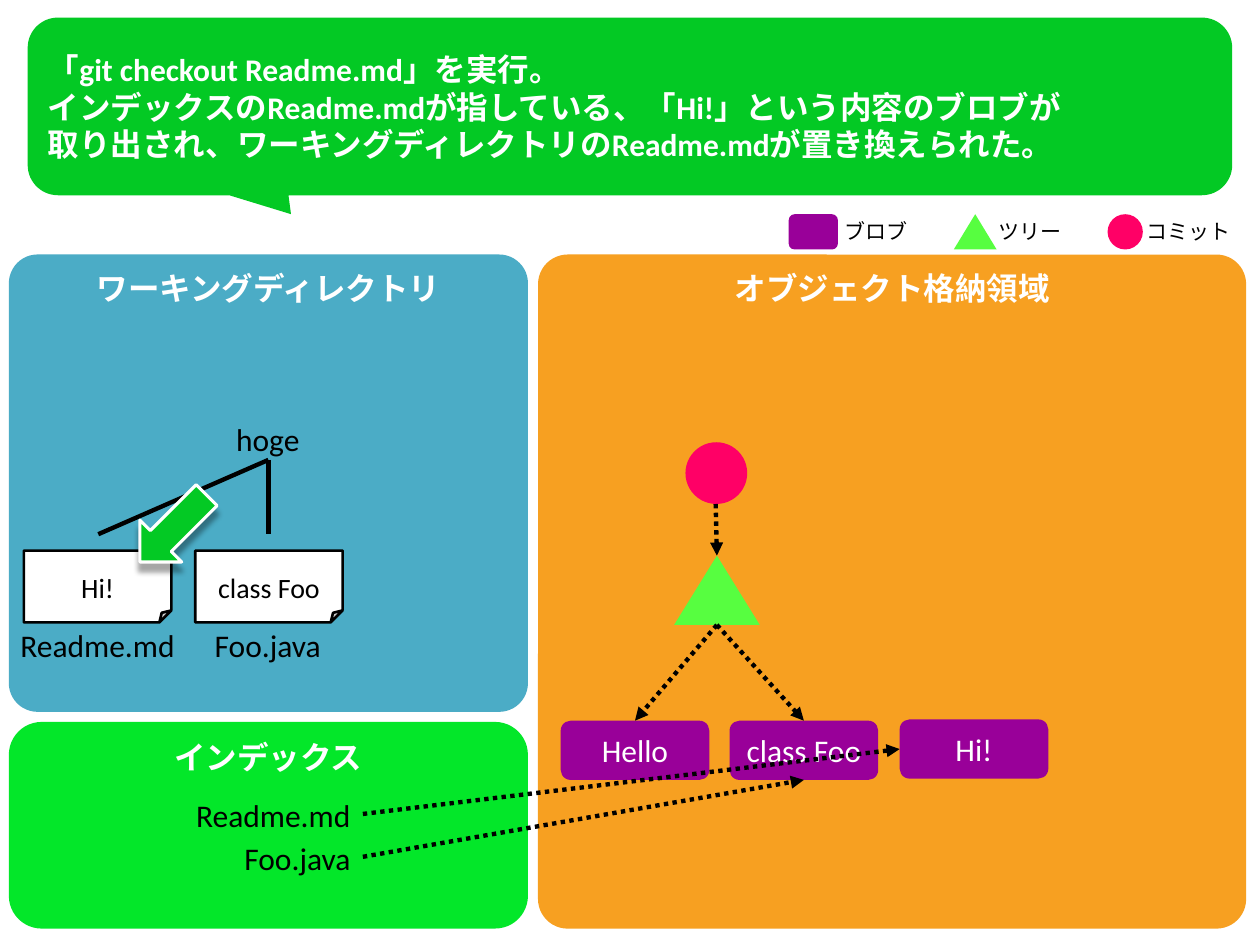
from math import cos, radians, sin

from pptx import Presentation
from pptx.dml.color import RGBColor
from pptx.enum.dml import MSO_LINE
from pptx.enum.shapes import MSO_CONNECTOR, MSO_SHAPE
from pptx.enum.text import MSO_ANCHOR, PP_ALIGN
from pptx.oxml import parse_xml
from pptx.oxml.ns import nsdecls, qn
from pptx.util import Inches, Pt

BLACK = RGBColor(0, 0, 0)
WHITE = RGBColor(255, 255, 255)
GREEN = RGBColor(0x03, 0xC9, 0x24)
BLOB = RGBColor(0x99, 0x00, 0x99)
TREE = RGBColor(0x57, 0xFE, 0x40)
COMMIT = RGBColor(0xFF, 0x00, 0x66)
ORANGE = RGBColor(0xF7, 0xA0, 0x21)
INDEX_GREEN = RGBColor(0x03, 0xE7, 0x29)
TEAL = RGBColor(0x4B, 0xAC, 0xC6)
LATIN, JAPANESE = "Calibri", "Noto Sans CJK JP"

CALLOUT = [
    "「git checkout Readme.md」を実行。",
    "インデックスのReadme.mdが指している、「Hi!」という内容のブロブが",
    "取り出され、ワーキングディレクトリのReadme.mdが置き換えられた。",
]
# title, (left, top, width, height), corner, fill
PANELS = [
    ("オブジェクト格納領域", (4.27, 2.02, 5.62, 5.35), 0.044, ORANGE),
    ("インデックス", (0.07, 5.73, 4.12, 1.64), 0.159, INDEX_GREEN),
    ("ワーキングディレクトリ", (0.07, 2.02, 4.12, 3.63), 0.063, TEAL),
]
LABELS = [
    ("hoge", (1.6, 3.32, 1.05, 0.33), PP_ALIGN.CENTER),
    ("Foo.java", (1.58, 4.96, 1.09, 0.31), PP_ALIGN.CENTER),
    ("Readme.md", (0.01, 4.96, 1.53, 0.31), PP_ALIGN.CENTER),
    ("Readme.md", (1.38, 6.32, 1.5, 0.29), PP_ALIGN.RIGHT),
    ("Foo.java", (1.64, 6.65, 1.24, 0.31), PP_ALIGN.RIGHT),
]
BLOBS = [("Hello", 4.45, 5.72), ("class Foo", 5.79, 5.72), ("Hi!", 7.14, 5.71)]
FILES = [("Hi!", 0.19), ("class Foo", 1.55)]
# label, label box, symbol, symbol left, symbol width, fill
LEGEND = [
    ("コミット", (8.96, 1.7, 0.95, 0.27), MSO_SHAPE.OVAL, 8.79, 0.28, COMMIT),
    ("ツリー", (7.82, 1.68, 0.71, 0.31), MSO_SHAPE.ISOSCELES_TRIANGLE, 7.57, 0.34, TREE),
    ("ブロブ", (6.6, 1.68, 0.71, 0.31), MSO_SHAPE.ROUNDED_RECTANGLE, 6.26, 0.39, BLOB),
]

prs = Presentation()
prs.slide_width, prs.slide_height = Inches(10), Inches(7.5)
s = prs.slides.add_slide(prs.slide_layouts[6])


def write(sp, lines, size=18, color=BLACK, font=LATIN, bold=False,
          align=PP_ALIGN.CENTER, anchor=MSO_ANCHOR.MIDDLE, insets=(0.1, 0.05, 0.1, 0.05)):
    """Fill a shape with paragraphs; insets are left, top, right, bottom."""
    tf = sp.text_frame
    tf.word_wrap = True
    tf.vertical_anchor = anchor
    tf.margin_left, tf.margin_top, tf.margin_right, tf.margin_bottom = map(Inches, insets)
    tf.text = "\n".join(lines)
    for p in tf.paragraphs:
        p.alignment = align
        p.font.size, p.font.bold, p.font.name = Pt(size), bold, font
        p.font.color.rgb = color
        latin = p._p.pPr.find(qn("a:defRPr")).find(qn("a:latin"))
        latin.addnext(parse_xml(f'<a:ea {nsdecls("a")} typeface="{JAPANESE}"/>'))


def paint(sp, fill, line=None, width=1.5):
    sp.shadow.inherit = False
    sp.fill.solid()
    sp.fill.fore_color.rgb = fill
    if line is None:
        sp.line.fill.background()
    else:
        sp.line.color.rgb = line
        sp.line.width = Pt(width)
    return sp


def add_shape(kind, box, fill, **line):
    return paint(s.shapes.add_shape(kind, *map(Inches, box)), fill, **line)


def add_label(text, box, **style):
    write(s.shapes.add_textbox(*map(Inches, box)), [text], **style)


def add_line(start, end, arrow=True):
    """Join two ends, each an (x, y) point or a (shape, site) pair."""
    points = [(0, 0) if hasattr(e[0], "shape_type") else e for e in (start, end)]
    c = s.shapes.add_connector(MSO_CONNECTOR.STRAIGHT,
                               *(Inches(v) for point in points for v in point))
    for e, connect in ((start, c.begin_connect), (end, c.end_connect)):
        if hasattr(e[0], "shape_type"):
            connect(*e)
    c.line.color.rgb = BLACK
    c.line.width = Pt(2.5)
    if arrow:
        c.line.dash_style = MSO_LINE.ROUND_DOT
        c.line._ln.append(parse_xml(f'<a:tailEnd {nsdecls("a")} type="triangle"/>'))
    c._element.spPr.append(parse_xml(f'<a:effectLst {nsdecls("a")}/>'))


def add_callout(left, top, right, bottom, radius, tail):
    """Rounded box whose bottom edge carries a tail, given from right to left."""
    def corner(x, y, first):
        return [(x + radius * cos(radians(a)), y + radius * sin(radians(a)))
                for a in range(first, first + 91, 6)]

    x1, x2, y1, y2 = left + radius, right - radius, top + radius, bottom - radius
    outline = (corner(x1, y1, 180) + corner(x2, y1, 270) + corner(x2, y2, 0)
               + tail + corner(x1, y2, 90))
    points = [(Inches(x), Inches(y)) for x, y in outline]
    builder = s.shapes.build_freeform(*points[0])
    builder.add_line_segments(points[1:], close=True)
    return paint(builder.convert_to_shape(), GREEN)


callout = add_callout(0.22, 0.14, 9.78, 1.55, 0.24,
                      [(2.29, 1.55), (2.31, 1.7), (1.82, 1.55)])
write(callout, CALLOUT, color=WHITE, bold=True, align=PP_ALIGN.LEFT,
      insets=(0.16, 0.16, 0.16, 0.31))

for title, box, corner_size, fill in PANELS:
    panel = add_shape(MSO_SHAPE.ROUNDED_RECTANGLE, box, fill)
    panel.adjustments[0] = corner_size
    write(panel, [title], color=WHITE, font=JAPANESE, bold=True, anchor=MSO_ANCHOR.TOP)

for text, box, align in LABELS:
    add_label(text, box, align=align)

blobs = []
for text, left, top in BLOBS:
    blob = add_shape(MSO_SHAPE.ROUNDED_RECTANGLE, (left, top, 1.18, 0.47), BLOB)
    write(blob, [text], color=WHITE, insets=(0.04, 0.05, 0.04, 0.05))
    blobs.append(blob)
hello, foo, hi = blobs

tree = add_shape(MSO_SHAPE.ISOSCELES_TRIANGLE, (5.35, 4.41, 0.68, 0.55), TREE)
add_shape(MSO_SHAPE.OVAL, (5.44, 3.51, 0.49, 0.49), COMMIT)
tree_base = (5.69, 4.96)
for start, end in [((2.88, 6.46), (hi, 1)), ((2.88, 6.8), (foo, 2)),
                   (tree_base, (hello, 0)), (tree_base, (foo, 0)),
                   ((5.68, 4), (tree, 0))]:
    add_line(start, end)

for text, left in FILES:
    page = add_shape(MSO_SHAPE.FOLDED_CORNER, (left, 4.37, 1.17, 0.57), WHITE, line=BLACK)
    write(page, [text], size=16, insets=(0.05, 0.1, 0.05, 0))
    add_line((2.13, 3.65), (left + 0.59, 4.24) if left < 1 else (2.13, 4.24), arrow=False)

for text, box, kind, left, width, fill in LEGEND:
    add_shape(kind, (left, 1.7, width, 0.28), fill)
    add_label(text, box, size=12, font=JAPANESE)

arrow = add_shape(MSO_SHAPE.DOWN_ARROW, (1.14, 3.82, 0.47, 0.75), GREEN,
                  line=WHITE, width=1.75)
arrow.rotation = 45
arrow._element.spPr.find(qn("a:effectLst")).append(parse_xml(
    f'<a:outerShdw {nsdecls("a")} blurRad="{Pt(3.1)}" dist="{Pt(5)}" dir="5400000" '
    'rotWithShape="0"><a:srgbClr val="000000"><a:alpha val="35000"/></a:srgbClr>'
    '</a:outerShdw>'))

prs.save("out.pptx")
